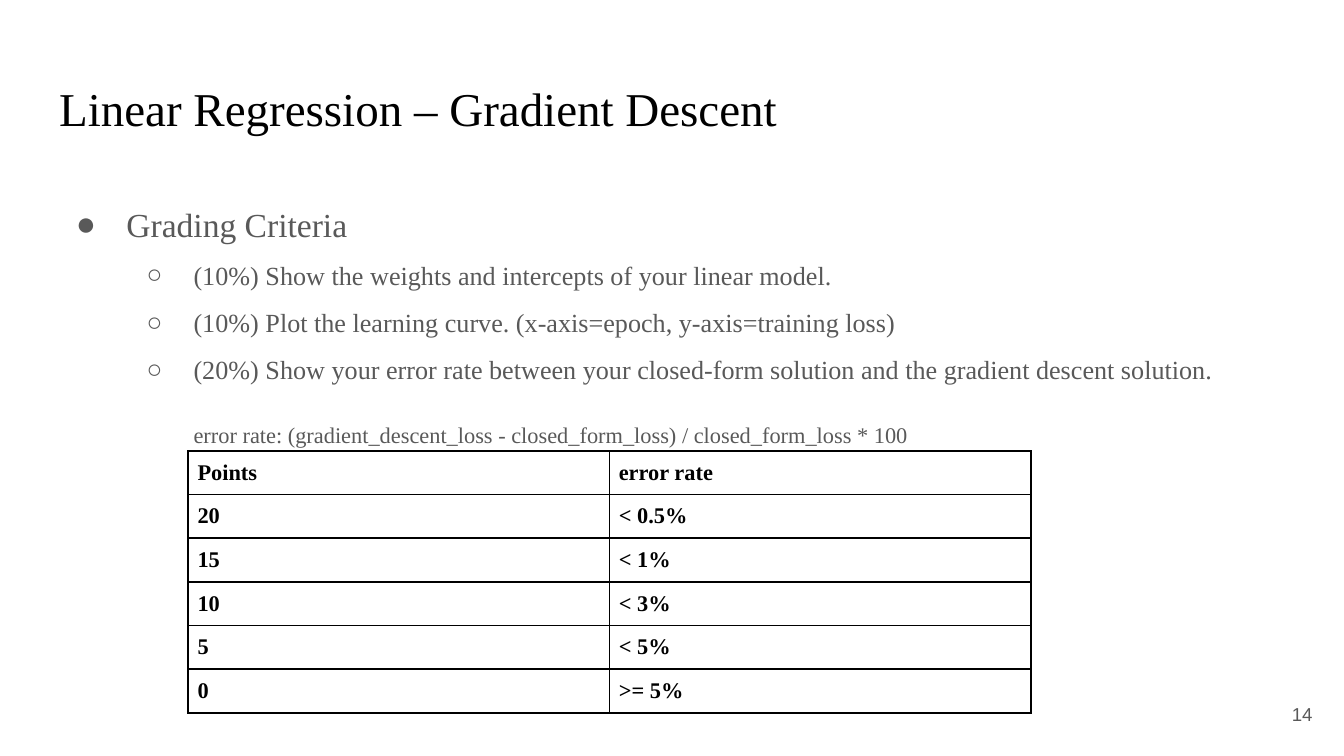
from dataclasses import dataclass

from lxml import etree
from pptx import Presentation
from pptx.dml.color import RGBColor
from pptx.enum.text import MSO_ANCHOR, MSO_AUTO_SIZE, PP_ALIGN
from pptx.oxml.ns import qn
from pptx.util import Pt

LEFT, RIGHT = PP_ALIGN.LEFT, PP_ALIGN.RIGHT
TOP, MIDDLE, BOTTOM = MSO_ANCHOR.TOP, MSO_ANCHOR.MIDDLE, MSO_ANCHOR.BOTTOM
NO_FIT = MSO_AUTO_SIZE.NONE

PX = 4572  # 200 px to the inch
WIDTH, HEIGHT = 2000, 1125


@dataclass(frozen=True)
class Theme:
    serif: str = "Times New Roman"
    sans: str = "Arial"
    ink: str = "000000"
    gray: str = "595959"
    title: float = 25.2
    head: float = 18
    item: float = 14
    note: float = 12
    page: float = 10


def px(n):
    return n * PX


class Deck:
    def __init__(self, theme):
        self.theme = theme
        self.prs = Presentation()
        self.prs.slide_width, self.prs.slide_height = px(WIDTH), px(HEIGHT)
        self.slide = self.prs.slides.add_slide(self.prs.slide_layouts[1])

    def place(self, shape, box, anchor):
        """Move a text shape, set its margins and return its text frame."""
        shape.left, shape.top, shape.width, shape.height = map(px, box)
        frame = shape.text_frame
        frame.word_wrap, frame.auto_size = True, NO_FIT
        frame.vertical_anchor = anchor
        frame.margin_left = frame.margin_right = px(20)
        frame.margin_top = frame.margin_bottom = px(20)
        return frame

    def run(self, para, text, size, color, font=None, bold=False):
        run = para.add_run()
        run.text = text
        run.font.size, run.font.bold = Pt(size), bold
        run.font.name = font or self.theme.serif
        run.font.color.rgb = RGBColor.from_string(color)

    def title(self, text, box):
        para = self.place(self.slide.shapes.title, box, BOTTOM).paragraphs[0]
        para.alignment = LEFT
        self.run(para, text, self.theme.title, self.theme.ink)

    def bullet(self, para, char, left, hang):
        """Set the indent of a paragraph, and its bullet if char is given."""
        props = para._p.get_or_add_pPr()
        props.set("marL", str(px(left)))
        props.set("indent", str(px(-hang)))
        if not char:
            etree.SubElement(props, qn("a:buNone"))
            return
        color = etree.SubElement(props, qn("a:buClr"))
        etree.SubElement(color, qn("a:srgbClr"), val=self.theme.gray)
        etree.SubElement(props, qn("a:buFont"), typeface=self.theme.serif)
        etree.SubElement(props, qn("a:buChar"), char=char)

    def body(self, rows, box):
        """Fill the body with rows of (text, size, level, char, left, hang, gap)."""
        frame = self.place(self.slide.placeholders[1], box, TOP)
        for i, (text, size, level, char, left, hang, gap) in enumerate(rows):
            para = frame.add_paragraph() if i else frame.paragraphs[0]
            para.level, para.alignment = level, LEFT
            para.line_spacing = 1.5
            para.space_before = para.space_after = Pt(gap)
            self.bullet(para, char, left, hang)
            self.run(para, text, size, self.theme.gray)

    def label(self, text, box):
        shape = self.slide.shapes.add_textbox(*map(px, box))
        para = self.place(shape, box, MIDDLE).paragraphs[0]
        para.alignment = RIGHT
        self.run(para, text, self.theme.page, self.theme.gray, self.theme.sans)

    def border(self, cell):
        props = cell._tc.get_or_add_tcPr()
        for i, side in enumerate("LRTB"):
            line = etree.Element(qn(f"a:ln{side}"), w=str(Pt(1)))
            fill = etree.SubElement(line, qn("a:solidFill"))
            etree.SubElement(fill, qn("a:srgbClr"), val=self.theme.ink)
            props.insert(i, line)

    def table(self, rows, box, col, row):
        """Draw a ruled table; each row grows from its least height to its text."""
        shape = self.slide.shapes.add_table(len(rows), len(rows[0]), *map(px, box))
        grid = shape.table
        grid.first_row = grid.horz_banding = False
        for column in grid.columns:
            column.width = px(col)
        for line in grid.rows:
            line.height = px(row)
        shape.width, shape.height = map(px, box[2:])
        for r, texts in enumerate(rows):
            for c, text in enumerate(texts):
                cell = grid.cell(r, c)
                cell.fill.background()
                cell.margin_left = cell.margin_right = px(14)
                cell.margin_top = cell.margin_bottom = px(14)
                self.border(cell)
                para = cell.text_frame.paragraphs[0]
                self.run(para, text, self.theme.note, self.theme.ink, bold=True)


def main():
    theme = Theme()
    deck = Deck(theme)
    deck.title("Linear Regression – Gradient Descent", (68, 97, 1864, 125))

    tasks = [
        "(10%) Show the weights and intercepts of your linear model.",
        "(10%) Plot the learning curve. (x-axis=epoch, y-axis=training loss)",
        "(20%) Show your error rate between your closed-form solution"
        " and the gradient descent solution.",
    ]
    rule = ("error rate: (gradient_descent_loss - closed_form_loss)"
            " / closed_form_loss * 100")
    rows = [("Grading Criteria", theme.head, 0, "●", 100, 75, 0)]
    rows += [(task, theme.item, 1, "○", 200, 70, 0) for task in tasks]
    rows.append((rule, theme.note, 0, None, 200, 0, 12))
    deck.body(rows, (68, 253, 1864, 872))

    deck.label("14", (1853, 1020, 120, 86))
    grades = [
        ("Points", "error rate"),
        ("20", "< 0.5%"),
        ("15", "< 1%"),
        ("10", "< 3%"),
        ("5", "< 5%"),
        ("0", ">= 5%"),
    ]
    deck.table(grades, (280, 671, 656, 656), col=627, row=2)
    deck.prs.save("out.pptx")


if __name__ == "__main__":
    main()
